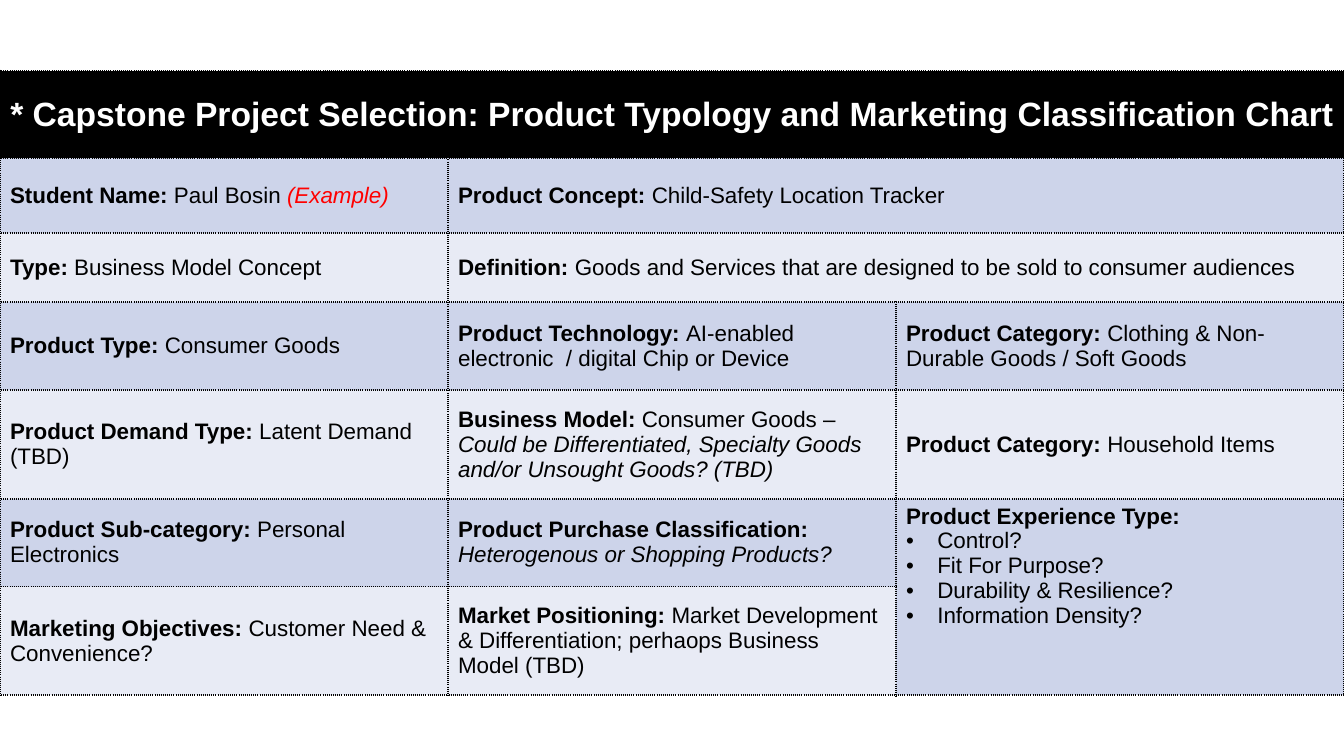
from dataclasses import dataclass

from lxml.etree import SubElement
from pptx import Presentation
from pptx.dml.color import RGBColor
from pptx.enum.text import MSO_ANCHOR, PP_ALIGN
from pptx.oxml import parse_xml
from pptx.oxml.ns import nsdecls, qn
from pptx.util import Inches, Pt

COLORS = {
    "black": "000000",
    "white": "FFFFFF",
    "example": "FF0000",
    "odd band": "CDD4EA",
    "even band": "E8EBF5",
}
FONT = "Arial"
COLUMN_COUNT = 3
ROW_HEIGHTS = [0.87, 0.74, 0.69, 0.87, 1.08, 0.87, 1.08]
TABLE_TOP = 0.7
BULLET_INDENT = Inches(0.31)


@dataclass(frozen=True)
class Entry:
    row: int
    column: int
    label: str
    value: str = ""
    remark: str = ""
    remark_color: str = "black"
    row_span: int = 1
    column_span: int = 1
    bullets: tuple[str, ...] = ()


TITLE = Entry(
    0, 0, "* Capstone Project Selection: Product Typology and Marketing Classification Chart",
    column_span=COLUMN_COUNT,
)
ENTRIES = [
    Entry(1, 0, "Student Name: ", "Paul Bosin ", "(Example)", "example"),
    Entry(1, 1, "Product Concept: ", "Child-Safety Location Tracker", column_span=2),
    Entry(2, 0, "Type: ", "Business Model Concept"),
    Entry(2, 1, "Definition: ",
          "Goods and Services that are designed to be sold to consumer audiences", column_span=2),
    Entry(3, 0, "Product Type: ", "Consumer Goods"),
    Entry(3, 1, "Product Technology: ", "AI-enabled electronic  / digital Chip or Device"),
    Entry(3, 2, "Product Category: ", "Clothing & Non-Durable Goods / Soft Goods"),
    Entry(4, 0, "Product Demand Type: ", "Latent Demand (TBD)"),
    Entry(4, 1, "Business Model: ", "Consumer Goods – ",
          "Could be Differentiated, Specialty Goods and/or Unsought Goods? (TBD)"),
    Entry(4, 2, "Product Category: ", "Household Items"),
    Entry(5, 0, "Product Sub-category: ", "Personal Electronics"),
    Entry(5, 1, "Product Purchase Classification: ", remark="Heterogenous or Shopping Products?"),
    Entry(5, 2, "Product Experience Type:", row_span=2,
          bullets=("Control?", "Fit For Purpose?", "Durability & Resilience?",
                   "Information Density?")),
    Entry(6, 0, "Marketing Objectives: ", "Customer Need & Convenience?"),
    Entry(6, 1, "Market Positioning: ",
          "Market Development & Differentiation; perhaops Business Model (TBD)"),
]


def add_run(paragraph, text: str, size: int = 16, color: str = "black",
            bold: bool = False, italic: bool = False) -> None:
    run = paragraph.add_run()
    run.text = text
    run.font.name = FONT
    run.font.size = Pt(size)
    run.font.bold = bold
    run.font.italic = italic
    run.font.color.rgb = RGBColor.from_string(COLORS[color])


def add_bullet(text_frame, text: str) -> None:
    paragraph = text_frame.add_paragraph()
    properties = paragraph._p.get_or_add_pPr()
    properties.set("marL", str(BULLET_INDENT))
    properties.set("indent", str(-BULLET_INDENT))
    bullet_color = SubElement(properties, qn("a:buClr"))
    SubElement(bullet_color, qn("a:srgbClr"), val=COLORS["black"])
    SubElement(properties, qn("a:buFont"), typeface=FONT)
    SubElement(properties, qn("a:buChar"), char="•")
    add_run(paragraph, text)


def style_cell(cell, fill_color: str) -> None:
    cell.fill.solid()
    cell.fill.fore_color.rgb = RGBColor.from_string(COLORS[fill_color])
    cell.vertical_anchor = MSO_ANCHOR.MIDDLE
    properties = cell._tc.get_or_add_tcPr()
    for position, side in enumerate(("lnL", "lnR", "lnT", "lnB")):
        border = parse_xml(
            f'<a:{side} {nsdecls("a")} w="{Pt(1.5)}"><a:solidFill>'
            f'<a:srgbClr val="{COLORS["black"]}"/></a:solidFill>'
            f'<a:prstDash val="dot"/></a:{side}>'
        )
        properties.insert(position, border)


def merge_entry(table, entry: Entry):
    cell = table.cell(entry.row, entry.column)
    if entry.row_span > 1 or entry.column_span > 1:
        cell.merge(table.cell(entry.row + entry.row_span - 1,
                              entry.column + entry.column_span - 1))
    return cell


def write_title(table, entry: Entry) -> None:
    paragraph = merge_entry(table, entry).text_frame.paragraphs[0]
    paragraph.alignment = PP_ALIGN.CENTER
    add_run(paragraph, entry.label, size=24, color="white", bold=True)


def write_entry(table, entry: Entry) -> None:
    cell = merge_entry(table, entry)
    paragraph = cell.text_frame.paragraphs[0]
    add_run(paragraph, entry.label, bold=True)
    if entry.value:
        add_run(paragraph, entry.value)
    if entry.remark:
        add_run(paragraph, entry.remark, color=entry.remark_color, italic=True)
    if entry.bullets:
        cell.vertical_anchor = MSO_ANCHOR.TOP
    for bullet in entry.bullets:
        add_bullet(cell.text_frame, bullet)


def main() -> None:
    presentation = Presentation()
    presentation.slide_width = Inches(13.33)
    presentation.slide_height = Inches(7.5)
    slide = presentation.slides.add_slide(presentation.slide_layouts[6])

    table = slide.shapes.add_table(
        len(ROW_HEIGHTS), COLUMN_COUNT, 0, Inches(TABLE_TOP),
        presentation.slide_width, Inches(sum(ROW_HEIGHTS)),
    ).table
    for row, height in zip(table.rows, ROW_HEIGHTS):
        row.height = Inches(height)
    for row_index in range(len(ROW_HEIGHTS)):
        band = "odd band" if row_index % 2 else "even band"
        for column_index in range(COLUMN_COUNT):
            style_cell(table.cell(row_index, column_index), band if row_index else "black")

    write_title(table, TITLE)
    for entry in ENTRIES:
        write_entry(table, entry)
    presentation.save("out.pptx")


if __name__ == "__main__":
    main()
